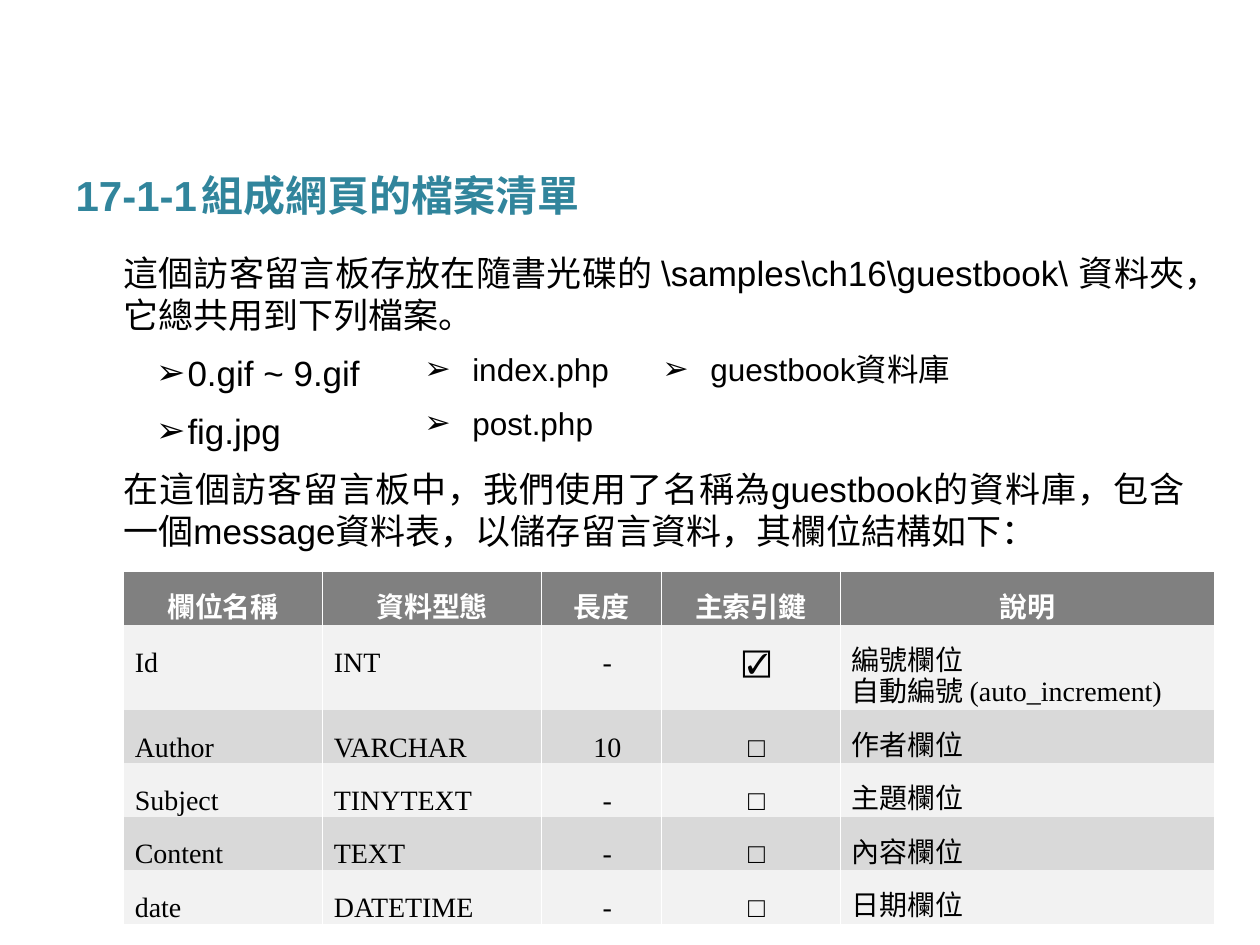
from lxml import etree
from pptx import Presentation
from pptx import util as u
from pptx.dml.color import RGBColor
from pptx.enum import text
from pptx.oxml.ns import qn

COLORS = {"title": "31859C", "text": "000000", "white": "FFFFFF",
          "head": "808080", "odd": "F2F2F2", "even": "D9D9D9"}
SANS, SERIF, CJK = "Arial", "Times New Roman", "Noto Sans CJK SC"

TITLE = "17-1-1\t組成網頁的檔案清單"
BODY = [
    ("這個訪客留言板存放在隨書光碟的 \\samples\\ch16\\guestbook\\ 資料夾，它總共用到下列檔案。", False),
    ("0.gif ~ 9.gif", True),
    ("fig.jpg", True),
    ("在這個訪客留言板中，我們使用了名稱為guestbook的資料庫，包含一個message資料表，以儲存留言資料，其欄位結構如下：", False),
]
FILE_LISTS = [
    ((3.27, 2.73, 5, 0.83), [[("index.php", SANS)], [("post.php", SANS)]]),
    ((5.16, 2.73, 4.33, 0.4), [[("guestbook", SANS), ("資料庫", CJK)]]),
]
FIELDS = [
    ("欄位名稱", "資料型態", "長度", "主索引鍵", "說明"),
    ("Id", "INT", "-", "☑", "編號欄位\n自動編號 (auto_increment)"),
    ("Author", "VARCHAR", "10", "□", "作者欄位"),
    ("Subject", "TINYTEXT", "-", "□", "主題欄位"),
    ("Content", "TEXT", "-", "□", "內容欄位"),
    ("date", "DATETIME", "-", "□", "日期欄位"),
]
COL_WIDTHS = (1.58, 1.74, 0.95, 1.42, 2.97)
CENTERED = (2, 3)
NO_STYLE = "{2D5ABB26-0587-4C30-8999-92F81FD0307C}"


def add_run(p, words, size, font, color, bold=False):
    r = p.add_run()
    r.text = words
    r.font.size, r.font.name, r.font.bold = u.Pt(size), font, bold
    r.font.color.rgb = RGBColor.from_string(COLORS[color])


def format_paragraph(p, align, before, after, left=0, hanging=0, bullet=False):
    p.alignment = align
    p.space_before, p.space_after = u.Pt(before), u.Pt(after)
    ppr = p._p.get_or_add_pPr()
    ppr.set("marL", str(u.Inches(left)))
    ppr.set("indent", str(-u.Inches(hanging)))
    if bullet:
        etree.SubElement(ppr, qn("a:buFont"), typeface=SANS)
        etree.SubElement(ppr, qn("a:buChar"), char="➢")


def paragraphs(tf, count):
    return [tf.paragraphs[0]] + [tf.add_paragraph() for _ in range(count - 1)]


def add_text_frame(slide, box):
    tf = slide.shapes.add_textbox(*map(u.Inches, box)).text_frame
    tf.word_wrap = True
    return tf


def add_side_borders(cell):
    tcpr = cell._tc.get_or_add_tcPr()
    for side in ("a:lnL", "a:lnR"):
        ln = etree.SubElement(tcpr, qn(side), w=str(u.Pt(1)))
        fill = etree.SubElement(ln, qn("a:solidFill"))
        etree.SubElement(fill, qn("a:srgbClr"), val=COLORS["white"])


def fill_cell(cell, words, row, col):
    header = row == 0
    add_side_borders(cell)
    cell.fill.solid()
    shade = "head" if header else "odd" if row % 2 else "even"
    cell.fill.fore_color.rgb = RGBColor.from_string(COLORS[shade])
    cell.margin_left = cell.margin_right = cell.margin_bottom = 0
    cell.margin_top = u.Pt(17.5)
    centered = header or col in CENTERED
    align = text.PP_ALIGN.CENTER if centered else text.PP_ALIGN.JUSTIFY
    lines = words.split("\n")
    for p, line in zip(paragraphs(cell.text_frame, len(lines)), lines):
        format_paragraph(p, align, 2, 2.5, left=0 if header else 0.09)
        p.line_spacing = u.Pt(13)
        add_run(p, line, 16, SERIF, "white" if header else "text", header)


def main():
    prs = Presentation()
    prs.slide_width, prs.slide_height = u.Inches(10), u.Inches(7.5)
    slide = prs.slides.add_slide(prs.slide_layouts[5])

    title = slide.shapes.title
    title.left, title.top, title.width, title.height = map(u.Inches, (0.5, 1.14, 9, 0.81))
    title.text_frame.vertical_anchor = text.MSO_ANCHOR.MIDDLE
    p = title.text_frame.paragraphs[0]
    p.alignment = text.PP_ALIGN.JUSTIFY
    add_run(p, TITLE, 24, SANS, "title", True)

    tf = add_text_frame(slide, (0.5, 1.95, 9, 4.95))
    for p, (words, bullet) in zip(paragraphs(tf, len(BODY)), BODY):
        left, hanging = (0.89, 0.25) if bullet else (0.38, 0)
        format_paragraph(p, text.PP_ALIGN.JUSTIFY, 3, 6, left, hanging, bullet)
        add_run(p, words, 20, SANS, "text")

    for box, items in FILE_LISTS:
        tf = add_text_frame(slide, box)
        for p, runs in zip(paragraphs(tf, len(items)), items):
            format_paragraph(p, text.PP_ALIGN.LEFT, 3, 6, 0.38, 0.38, True)
            for words, font in runs:
                add_run(p, words, 18, font, "text")

    frame = slide.shapes.add_table(len(FIELDS), len(COL_WIDTHS),
                                   *map(u.Inches, (0.98, 4.54, sum(COL_WIDTHS), 2.83)))
    table = frame.table
    table._tbl.tblPr.find(qn("a:tableStyleId")).text = NO_STYLE
    for column, width in zip(table.columns, COL_WIDTHS):
        column.width = u.Inches(width)
    for i, fields in enumerate(FIELDS):
        two_lines = any("\n" in words for words in fields)
        table.rows[i].height = u.Inches(0.67 if two_lines else 0.42)
        for j, words in enumerate(fields):
            fill_cell(table.cell(i, j), words, i, j)

    prs.save("out.pptx")


if __name__ == "__main__":
    main()
